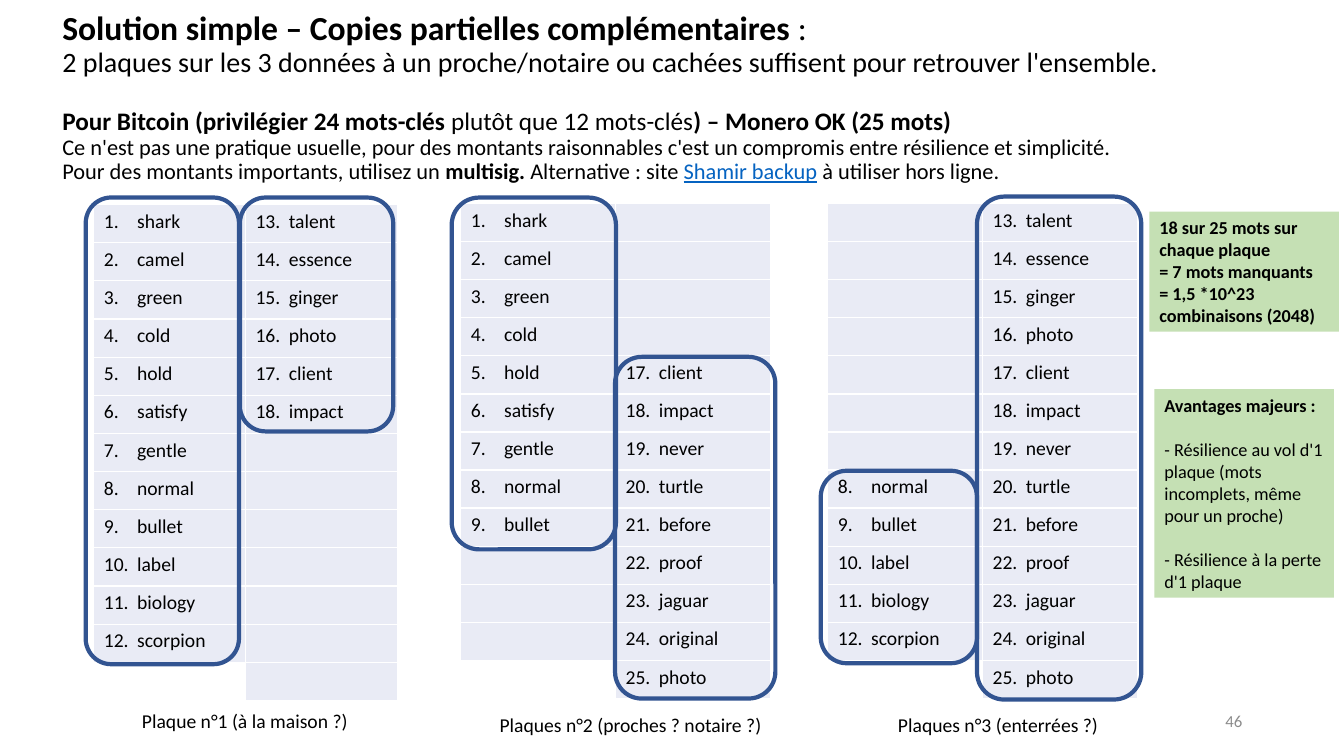
from dataclasses import dataclass

from lxml.etree import SubElement
from pptx import Presentation
from pptx.dml.color import RGBColor
from pptx.enum.shapes import MSO_SHAPE
from pptx.enum.text import MSO_ANCHOR, PP_ALIGN
from pptx.oxml.ns import qn
from pptx.util import Inches, Pt


@dataclass(frozen=True)
class Theme:
    font: str = "Calibri"
    black: str = "000000"
    white: str = "FFFFFF"
    cell: str = "E9EBF5"
    outline: str = "325491"
    note: str = "C5E0B4"
    link: str = "0563C1"
    grey: str = "8C8C8C"
    title: int = 24
    subtitle: int = 20
    heading: int = 18
    body: int = 16
    label: int = 14
    note_size: int = 13
    number: int = 12


@dataclass(frozen=True)
class Box:
    left: float
    top: float
    width: float
    height: float

    def emu(self) -> tuple:
        return tuple(Inches(v) for v in (self.left, self.top, self.width, self.height))


@dataclass(frozen=True)
class Run:
    text: str
    bold: bool = False
    link: bool = False


@dataclass(frozen=True)
class Line:
    runs: tuple[Run, ...]
    size: int
    before: int = 0


@dataclass(frozen=True)
class Plate:
    grid: Box
    kept: tuple[range, range]  # word numbers shown in each column
    outlines: tuple[Box, Box]
    caption: str
    caption_box: Box


T = Theme()
WORDS = ("shark camel green cold hold satisfy gentle normal bullet label biology scorpion "
         "talent essence ginger photo client impact never turtle before proof jaguar "
         "original photo").split()
FIRST_COLUMN, ROWS = 12, 13

PLATES = (
    Plate(Box(0.93, 2.03, 3.01, 4.92), (range(1, 13), range(13, 19)),
          (Box(0.85, 1.96, 1.52, 4.63), Box(2.38, 1.96, 1.52, 2.32)),
          "Plaque n°1 (à la maison ?)", Box(1.05, 6.98, 2.76, 0.34)),
    Plate(Box(4.57, 2.02, 3.07, 4.91), (range(1, 10), range(17, 26)),
          (Box(4.48, 1.96, 1.63, 3.49), Box(6.1, 3.54, 1.59, 3.39)),
          "Plaques n°2 (proches ? notaire ?)", Box(4.79, 7.02, 2.93, 0.34)),
    Plate(Box(8.21, 2.02, 3.07, 4.91), (range(8, 13), range(13, 26)),
          (Box(8.14, 4.67, 1.55, 1.91), Box(9.69, 1.95, 1.63, 4.99)),
          "Plaques n°3 (enterrées ?)", Box(8.52, 7.02, 2.76, 0.34)),
)

TITLE = (
    Line((Run("Solution simple – Copies partielles complémentaires ", True), Run(":")), T.title),
    Line((Run("2 plaques sur les 3 données à un proche/notaire ou cachées suffisent "
              "pour retrouver l'ensemble."),), T.subtitle),
    Line((Run("Pour Bitcoin (privilégier 24 mots-clés ", True), Run("plutôt que 12 mots-clés"),
          Run(") – Monero OK (25 mots)", True)), T.heading, before=22),
    Line((Run("Ce n'est pas une pratique usuelle, pour des montants raisonnables "
              "c'est un compromis entre résilience et simplicité."),), T.body),
    Line((Run("Pour des montants importants, utilisez un "), Run("multisig. ", True),
          Run("Alternative : site "), Run("Shamir backup", link=True),
          Run(" à utiliser hors ligne.")), T.body),
)

NOTES = (
    (Box(11.4, 2.1, 1.88, 1.19), (
        Line((Run("18 sur 25 mots sur chaque plaque", True),), T.note_size),
        Line((Run("= 7 mots manquants", True),), T.note_size),
        Line((Run("= 1,5 *10^23 combinaisons (2048)", True),), T.note_size))),
    (Box(11.45, 3.86, 1.78, 2.07), (
        Line((Run("Avantages majeurs :", True),), T.note_size),
        Line((Run("- Résilience au vol d'1 plaque (mots incomplets, même pour un proche)"),),
             T.note_size, before=16),
        Line((Run("- Résilience à la perte d'1 plaque"),), T.note_size, before=16))),
)


def rgb(color: str) -> RGBColor:
    return RGBColor.from_string(color)


def add_text(p, text: str, *, size: int, color: str = T.black, bold: bool = False,
             underline: bool = False) -> None:
    r = p.add_run()
    r.text = text
    r.font.name, r.font.size = T.font, Pt(size)
    r.font.bold, r.font.underline = bold, underline
    r.font.color.rgb = rgb(color)


def write_lines(tf, lines: tuple[Line, ...], spacing: float = 1.0) -> None:
    tf.word_wrap = True
    for i, line in enumerate(lines):
        p = tf.add_paragraph() if i else tf.paragraphs[0]
        p.alignment = PP_ALIGN.LEFT
        p.line_spacing = spacing
        if line.before:
            p.space_before = Pt(line.before)
        for run in line.runs:
            add_text(p, run.text, size=line.size, bold=run.bold, underline=run.link,
                     color=T.link if run.link else T.black)


def add_label(s, box: Box, text: str, align: PP_ALIGN, size: int, color: str = T.black):
    tf = s.shapes.add_textbox(*box.emu()).text_frame
    tf.word_wrap = True
    tf.paragraphs[0].alignment = align
    add_text(tf.paragraphs[0], text, size=size, color=color)
    return tf


def add_borders(cell) -> None:
    tc_pr = cell._tc.get_or_add_tcPr()
    for side in ("a:lnL", "a:lnR", "a:lnT", "a:lnB"):
        ln = SubElement(tc_pr, qn(side), w=str(Pt(1)))
        SubElement(SubElement(ln, qn("a:solidFill")), qn("a:srgbClr"), val=T.white)


def fill_cell(cell, number: int, shown: bool, color: str) -> None:
    add_borders(cell)
    cell.fill.solid()
    cell.fill.fore_color.rgb = rgb(color)
    if not shown:
        cell.margin_top = cell.margin_bottom = 0
        return
    # Hanging indent lines the words up after their numbers
    p = cell.text_frame.paragraphs[0]
    p_pr = p._p.get_or_add_pPr()
    p_pr.set("marL", str(Inches(0.33)))
    p_pr.set("indent", str(-Inches(0.33)))
    add_text(p, f"{number}.\t{WORDS[number - 1]}", size=T.label)


def add_plate(s, plate: Plate) -> None:
    table = s.shapes.add_table(ROWS, 2, *plate.grid.emu()).table
    table.first_row = table.horz_banding = False
    for col in table.columns:
        col.width = Inches(plate.grid.width / 2)
    for i, row in enumerate(table.rows):
        row.height = Inches(plate.grid.height / ROWS)
        for j, cell in enumerate(row.cells):
            number = i + 1 + j * FIRST_COLUMN
            unused = j == 0 and i == FIRST_COLUMN
            fill_cell(cell, number, number in plate.kept[j], T.white if unused else T.cell)
    for box in plate.outlines:
        sp = s.shapes.add_shape(MSO_SHAPE.ROUNDED_RECTANGLE, *box.emu())
        sp.shadow.inherit = False
        sp.fill.background()
        sp.line.color.rgb = rgb(T.outline)
        sp.line.width = Pt(3)
    add_label(s, plate.caption_box, plate.caption, PP_ALIGN.CENTER, T.label)


def add_note(s, box: Box, lines: tuple[Line, ...]) -> None:
    sp = s.shapes.add_shape(MSO_SHAPE.RECTANGLE, *box.emu())
    sp.shadow.inherit = False
    sp.fill.solid()
    sp.fill.fore_color.rgb = rgb(T.note)
    sp.line.fill.background()
    sp.text_frame.vertical_anchor = MSO_ANCHOR.TOP
    write_lines(sp.text_frame, lines)


def main() -> None:
    prs = Presentation()
    prs.slide_width, prs.slide_height = Inches(13.33), Inches(7.5)
    s = prs.slides.add_slide(prs.slide_layouts[6])

    # Title
    tf = s.shapes.add_textbox(*Box(0.52, 0.09, 12.54, 1.77).emu()).text_frame
    tf.vertical_anchor = MSO_ANCHOR.MIDDLE
    write_lines(tf, TITLE, spacing=0.9)

    # Plates and side notes
    for plate in PLATES:
        add_plate(s, plate)
    for box, lines in NOTES:
        add_note(s, box, lines)

    # Page number
    tf = add_label(s, Box(9.42, 6.95, 3, 0.4), "46", PP_ALIGN.RIGHT, T.number, T.grey)
    tf.vertical_anchor = MSO_ANCHOR.MIDDLE

    prs.save("out.pptx")


if __name__ == "__main__":
    main()
